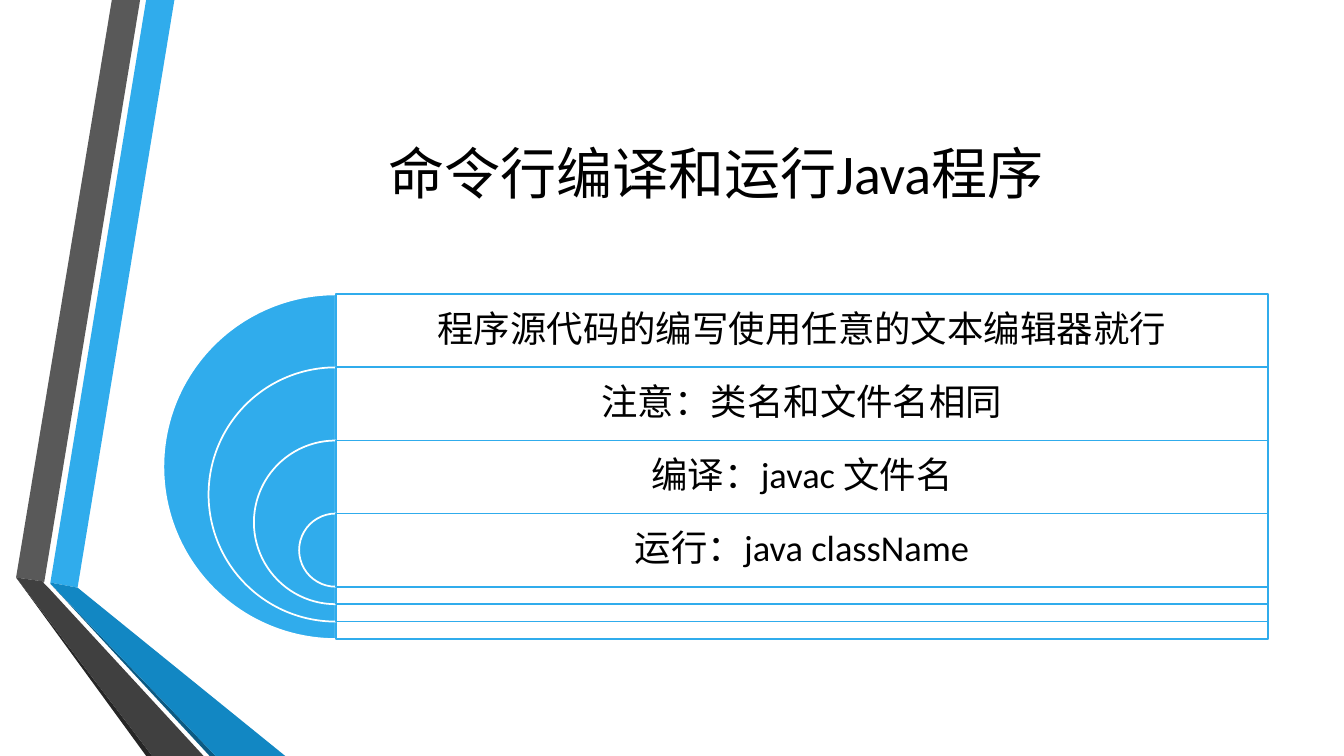
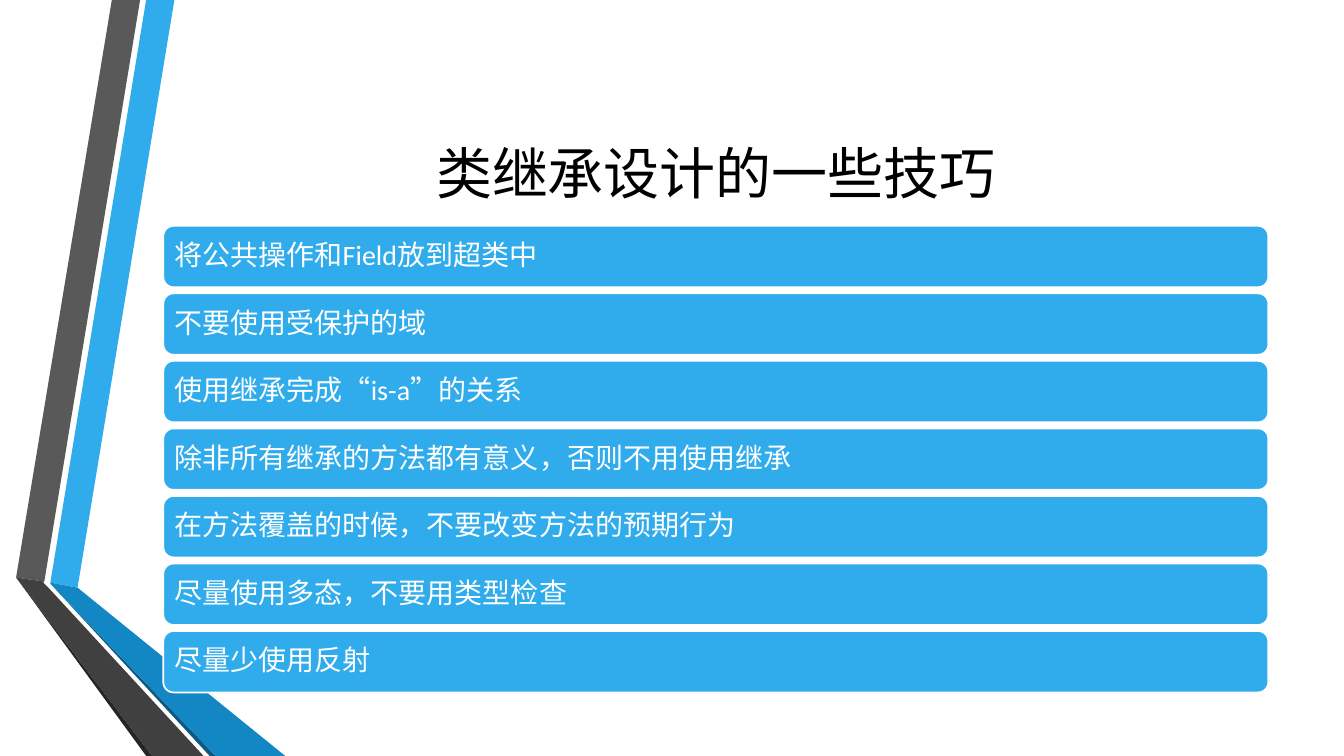
from dataclasses import dataclass

from lxml.etree import SubElement
from pptx import Presentation
from pptx.dml.color import RGBColor
from pptx.enum.lang import MSO_LANGUAGE_ID as LANG
from pptx.enum.shapes import MSO_SHAPE as SHAPE
from pptx.enum.text import MSO_ANCHOR as ANCHOR, PP_ALIGN as ALIGN
from pptx.oxml.ns import qn
from pptx.shapes.autoshape import Shape
from pptx.slide import Slide, SlideLayout
from pptx.text.text import TextFrame
from pptx.util import Inches, Pt

FONT = "Calibri"
BLUE, WHITE, BLACK = "30ACEC", "FFFFFF", "000000"
LEFT, WIDTH = 1.62, 10.96
RIGHT = LEFT + WIDTH


@dataclass(frozen=True)
class Ribbon:
    color: str
    points: tuple[tuple[float, float], ...]


@dataclass(frozen=True)
class Box:
    left: float
    top: float
    width: float
    height: float

    def emu(self) -> list[int]:
        return [Inches(v) for v in (self.left, self.top, self.width, self.height)]


RIBBONS = (
    Ribbon(BLUE, ((0.5, 5.78), (0.77, 5.83), (1.73, 0), (1.45, 0))),
    Ribbon("595959", ((1.39, 0), (1.11, 0), (0.16, 5.73), (0.44, 5.77))),
    Ribbon("262626", ((0.16, 5.73), (1.45, 7.5), (1.51, 7.5))),
    Ribbon("0C5A82", ((0.5, 5.79), (2.08, 7.5), (2.14, 7.5))),
    Ribbon("1287C3", ((0.5, 5.79), (2.14, 7.5), (2.83, 7.5), (0.77, 5.83), (0.5, 5.78))),
    Ribbon("404040", ((2.02, 7.5), (0.48, 5.83), (0.43, 5.78), (0.44, 5.77),
                      (0.16, 5.73), (1.51, 7.5))),
)
TITLE_BOX = Box(LEFT, 0.75, WIDTH, 1.92)

STEPS = (
    "程序源代码的编写使用任意的文本编辑器就行",
    "注意：类名和文件名相同",
    "编译：javac 文件名",
    "运行：java className",
)
TIPS = (
    "将公共操作和Field放到超类中",
    "不要使用受保护的域",
    "使用继承完成“is-a”的关系",
    "除非所有继承的方法都有意义，否则不用使用继承",
    "在方法覆盖的时候，不要改变方法的预期行为",
    "尽量使用多态，不要用类型检查",
    "尽量少使用反射",
)


def rgb(color: str) -> RGBColor:
    return RGBColor.from_string(color)


def paint(s: Shape, fill: str, line: str | None = None) -> None:
    s.shadow.inherit = False
    s.fill.solid()
    s.fill.fore_color.rgb = rgb(fill)
    if line is None:
        s.line.fill.background()
    else:
        s.line.color.rgb = rgb(line)
        s.line.width = Pt(1.25)


def write(tf: TextFrame, text: str, size: float, color: str, align: ALIGN) -> None:
    p = tf.paragraphs[0]
    p.alignment = align
    r = p.add_run()
    r.text = text
    r.font.name = FONT
    r.font.size = Pt(size)
    r.font.color.rgb = rgb(color)
    r.font.language_id = LANG.SIMPLIFIED_CHINESE


def write_row(s: Shape, text: str, size: float, color: str, align: ALIGN, inset: float) -> None:
    tf = s.text_frame
    tf.word_wrap = True
    tf.vertical_anchor = ANCHOR.MIDDLE
    tf.margin_left = tf.margin_right = tf.margin_top = tf.margin_bottom = Inches(inset)
    write(tf, text, size, color, align)
    tf.paragraphs[0].line_spacing = 0.9


def add_shape(slide: Slide, kind: SHAPE, box: Box, fill: str, line: str) -> Shape:
    s = slide.shapes.add_shape(kind, *box.emu())
    paint(s, fill, line)
    return s


def set_layout(layout: SlideLayout, slide: Slide) -> None:
    title = layout.placeholders[0]
    title.left, title.top, title.width, title.height = TITLE_BOX.emu()
    title.text_frame.vertical_anchor = ANCHOR.MIDDLE
    for i, ribbon in enumerate(RIBBONS):
        start, *rest = [(Inches(x), Inches(y)) for x, y in ribbon.points]
        builder = slide.shapes.build_freeform(*start)
        builder.add_line_segments(rest, close=True)
        s = builder.convert_to_shape()
        paint(s, ribbon.color)
        s.element.nvSpPr.cNvPr.set("id", str(100 + i))
        layout.shapes.element.append(s.element)


def add_slide(prs: Presentation, layout: SlideLayout, title: str) -> Slide:
    slide = prs.slides.add_slide(layout)
    write(slide.shapes.title.text_frame, title, 40, BLACK, ALIGN.CENTER)
    return slide


def draw_steps(slide: Slide) -> None:
    top, row, shrink, axis = 2.92, 0.725, 0.898, 3.33
    for i, text in enumerate(STEPS):
        y, size = top + i * row, 3.42 - i * shrink
        pie = add_shape(slide, SHAPE.PIE, Box(axis - size / 2, y, size, size), BLUE, WHITE)
        pie.adjustments[0], pie.adjustments[1] = 54, 162
        panel = add_shape(slide, SHAPE.RECTANGLE, Box(axis, y, RIGHT - axis, size), WHITE, BLUE)
        clr = panel.element.spPr.find(qn("a:solidFill")).find(qn("a:srgbClr"))
        SubElement(clr, qn("a:alpha")).set("val", "90000")
        label = slide.shapes.add_textbox(*Box(axis, y, RIGHT - axis, row).emu())
        write_row(label, text, 26, BLACK, ALIGN.CENTER, 0.11)


def draw_tips(slide: Slide) -> None:
    top, pitch, height = 2.24, 0.67, 0.61
    for i, text in enumerate(TIPS):
        bar = add_shape(slide, SHAPE.ROUNDED_RECTANGLE,
                        Box(LEFT, top + i * pitch, WIDTH, height), BLUE, WHITE)
        write_row(bar, text, 20, WHITE, ALIGN.LEFT, 0.08)


def main() -> None:
    prs = Presentation()
    prs.slide_width, prs.slide_height = Inches(13.33), Inches(7.5)
    layout = prs.slide_layouts[5]
    steps = add_slide(prs, layout, "命令行编译和运行Java程序")
    set_layout(layout, steps)
    draw_steps(steps)
    draw_tips(add_slide(prs, layout, "类继承设计的一些技巧"))
    prs.save("out.pptx")


if __name__ == "__main__":
    main()
